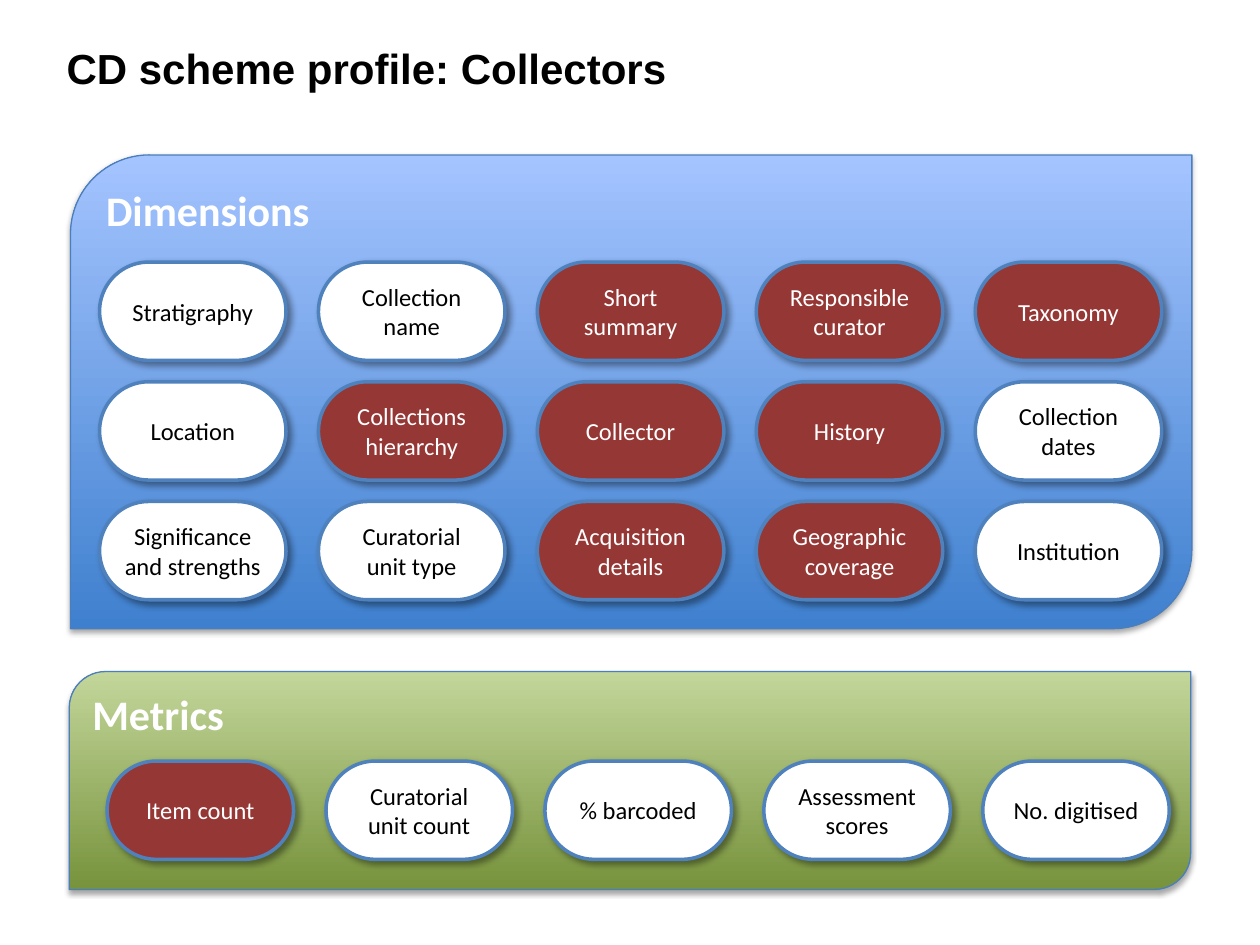
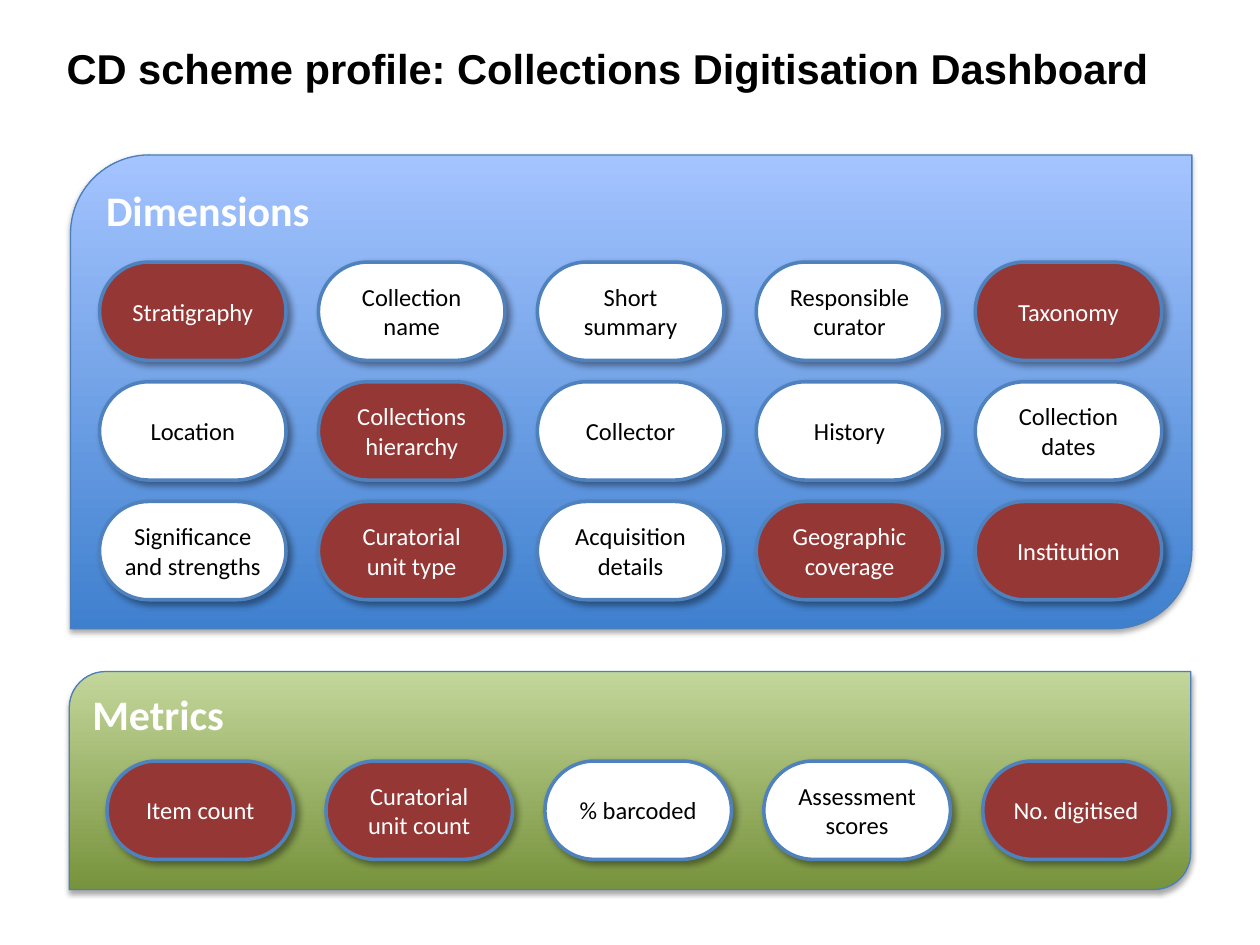
from lxml.etree import SubElement
from pptx import Presentation
from pptx.dml.color import RGBColor
from pptx.enum.shapes import MSO_SHAPE
from pptx.enum.text import MSO_ANCHOR, PP_ALIGN
from pptx.oxml.ns import qn
from pptx.util import Inches, Pt

BLACK = RGBColor(0x00, 0x00, 0x00)
WHITE = RGBColor(0xFF, 0xFF, 0xFF)
RED = RGBColor(0x95, 0x37, 0x35)
PILL_LINE = RGBColor(0x4F, 0x81, 0xBD)
PANEL_LINE = RGBColor(0x4B, 0x7E, 0xBC)
BLUES = (RGBColor(0x3F, 0x80, 0xCE), RGBColor(0xA4, 0xC4, 0xFF))
GREENS = (RGBColor(0x77, 0x93, 0x3C), RGBColor(0xC3, 0xD6, 0x9B))

PILL_W, PILL_H = 1.48, 0.78
COL_STEP, ROW_STEP = 1.7375, 0.95

DIMENSIONS = [
    ["Stratigraphy", "Collection name", "Short summary", "Responsible curator", "Taxonomy"],
    ["Location", "Collections hierarchy", "Collector", "History", "Collection dates"],
    ["Significance and strengths", "Curatorial unit type", "Acquisition details",
     "Geographic coverage", "Institution"],
]
METRICS = [["Item count", "Curatorial unit count", "% barcoded", "Assessment scores",
            "No. digitised"]]

# Title, title size, names of the highlighted elements
PROFILES = [
    ("CD scheme profile: Collectors", 24,
     {"Short summary", "Responsible curator", "Taxonomy", "Collections hierarchy", "Collector",
      "History", "Acquisition details", "Geographic coverage", "Item count"}),
    ("CD scheme profile: Collections Digitisation Dashboard", 23.8,
     {"Stratigraphy", "Taxonomy", "Collections hierarchy", "Curatorial unit type",
      "Geographic coverage", "Institution", "Item count", "Curatorial unit count",
      "No. digitised"}),
]


def write(sp, text, size, color, font="Calibri", bold=False, align=PP_ALIGN.LEFT,
          anchor=MSO_ANCHOR.TOP, insets=(0.1, 0.05), before=0):
    tf = sp.text_frame
    tf.word_wrap = True
    tf.vertical_anchor = anchor
    tf.margin_left = tf.margin_right = Inches(insets[0])
    tf.margin_top = tf.margin_bottom = Inches(insets[1])
    p = tf.paragraphs[0]
    p.alignment = align
    p.space_before = Pt(before)
    r = p.add_run()
    r.text = text
    r.font.name, r.font.size, r.font.bold = font, Pt(size), bold
    r.font.color.rgb = color


def add_shadow(sp, alpha, blur, dist, angle):
    """Give the shape a black outer shadow: percent, points, points, degrees."""
    sp.shadow.inherit = False
    effects = sp._element.spPr.find(qn("a:effectLst"))
    shadow = SubElement(effects, qn("a:outerShdw"), blurRad=str(Pt(blur)), dist=str(Pt(dist)),
                        dir=str(angle * 60000), algn="ctr", rotWithShape="0")
    color = SubElement(shadow, qn("a:srgbClr"), val=str(BLACK))
    SubElement(color, qn("a:alpha"), val=str(alpha * 1000))


class ProfileDeck:
    """Holds the presentation, its shared style and the current slide."""

    def __init__(self):
        self.prs = Presentation()
        self.prs.slide_width, self.prs.slide_height = Inches(10), Inches(7.5)
        self.slide = None

    def new_slide(self):
        self.slide = self.prs.slides.add_slide(self.prs.slide_layouts[6])

    def title(self, text, size):
        sp = self.slide.shapes.add_textbox(Inches(0.43), Inches(0.29), Inches(9.06), Inches(0.79))
        write(sp, text, size, BLACK, font="Arial", bold=True, before=3)

    def panel(self, shapes, heading, left, top, height, colors):
        sp = shapes.add_shape(MSO_SHAPE.ROUND_2_DIAG_RECTANGLE, Inches(left), Inches(top),
                              Inches(8.9), Inches(height))
        sp.fill.gradient()
        sp.fill.gradient_angle = 90
        for stop, position, color in zip(sp.fill.gradient_stops, (0, 1), colors):
            stop.position = position
            stop.color.rgb = color
        sp.line.color.rgb, sp.line.width = PANEL_LINE, Pt(0.75)
        add_shadow(sp, 35, 3.1, 1.8, 90)
        write(sp, heading, 24, WHITE, bold=True)

    def pill(self, shapes, text, left, top, highlighted):
        sp = shapes.add_shape(MSO_SHAPE.ROUNDED_RECTANGLE, Inches(left), Inches(top),
                              Inches(PILL_W), Inches(PILL_H))
        sp.adjustments[0] = 0.5
        sp.fill.solid()
        sp.fill.fore_color.rgb = RED if highlighted else WHITE
        sp.line.color.rgb, sp.line.width = PILL_LINE, Pt(2)
        add_shadow(sp, 40, 4, 3, 45)
        write(sp, text, 14, WHITE if highlighted else BLACK, align=PP_ALIGN.CENTER,
              anchor=MSO_ANCHOR.MIDDLE, insets=(0.07, 0.04))

    def pill_grid(self, shapes, rows, left, top, highlights):
        for i, row in enumerate(rows):
            for j, name in enumerate(row):
                self.pill(shapes, name, left + j * COL_STEP, top + i * ROW_STEP,
                          name in highlights)


def main():
    deck = ProfileDeck()
    for title, size, highlights in PROFILES:
        deck.new_slide()
        deck.title(title, size)
        dimensions = deck.slide.shapes.add_group_shape().shapes
        deck.panel(dimensions, "Dimensions", 0.56, 1.23, 3.76, BLUES)
        deck.pill_grid(dimensions, DIMENSIONS, 0.79, 2.08, highlights)
        metrics = deck.slide.shapes
        deck.panel(metrics, "Metrics", 0.55, 5.33, 1.73, GREENS)
        deck.pill_grid(metrics, METRICS, 0.85, 6.04, highlights)
    deck.prs.save("out.pptx")


if __name__ == "__main__":
    main()
